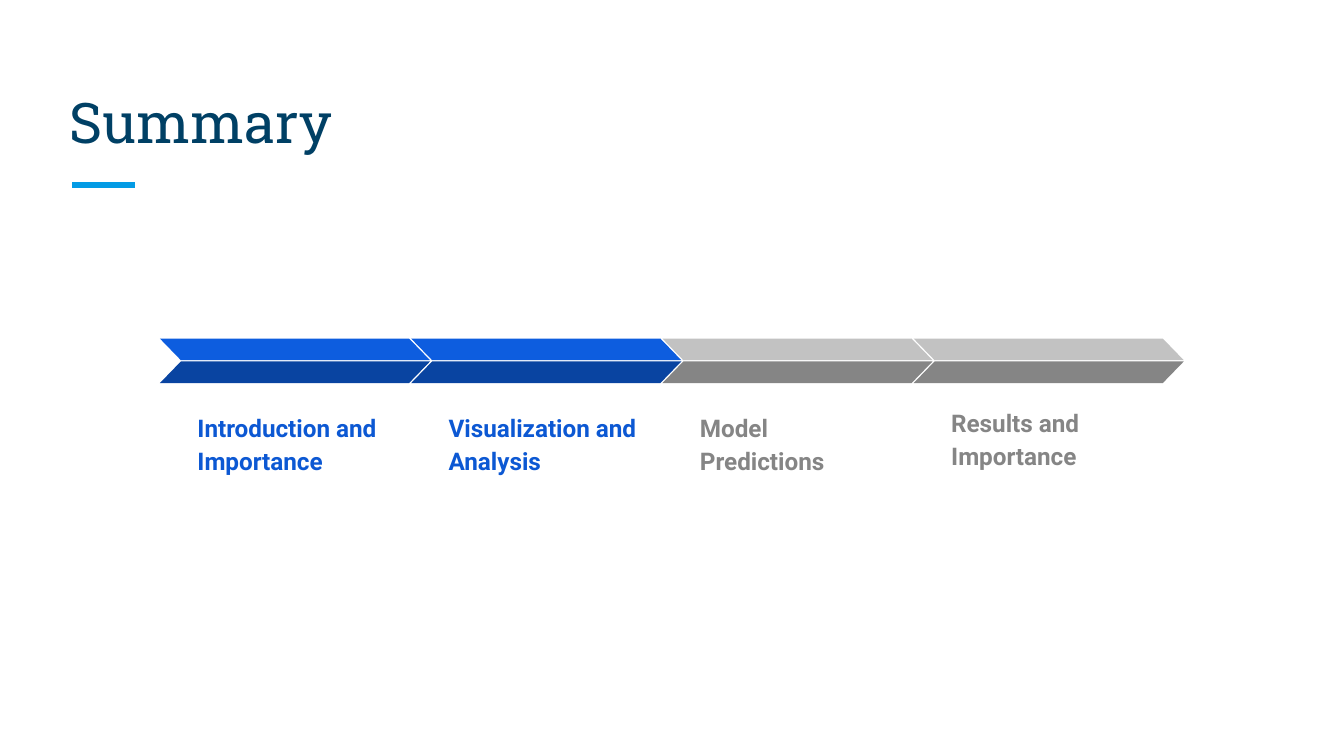
"""Builds a summary slide with a four-step chevron timeline."""
from pptx import Presentation
from pptx.dml.color import RGBColor
from pptx.enum.shapes import MSO_CONNECTOR, MSO_SHAPE
from pptx.enum.text import MSO_ANCHOR
from pptx.util import Pt
from lxml import etree

STRAIGHT = MSO_CONNECTOR.STRAIGHT
PARALLELOGRAM = MSO_SHAPE.PARALLELOGRAM
BOTTOM = MSO_ANCHOR.BOTTOM

NAVY = RGBColor(0x00, 0x40, 0x65)
SKY = RGBColor(0x03, 0x9B, 0xE5)
LABEL_BLUE = RGBColor(0x0C, 0x58, 0xD3)
BLUE = RGBColor(0x0D, 0x5D, 0xDF)
DARK_BLUE = RGBColor(0x09, 0x44, 0xA1)
LIGHT_GRAY = RGBColor(0xC2, 0xC2, 0xC2)
GRAY = RGBColor(0x85, 0x85, 0x85)

DONE = (BLUE, DARK_BLUE, LABEL_BLUE)
AHEAD = (LIGHT_GRAY, GRAY, GRAY)

HEADING = "Summary"
STEPS = [
    ("Introduction and Importance", DONE, 226.8),
    ("Visualization and Analysis", DONE, 226.8),
    ("Model Predictions", AHEAD, 226.8),
    ("Results and Importance", AHEAD, 223.9),
]

STEP_LEFT, STEP_PITCH, STEP_WIDTH = 85.7, 134.6, 144.7
UPPER_TOP, LOWER_TOP, HALF_HEIGHT = 181.4, 193.6, 11.6
SLANT = 0.97
LABEL_INDENT, LABEL_WIDTH, LABEL_HEIGHT = 13, 118.8, 35.3
INSET = 7.2


def add_text(slide, words, box, font, size, color, bold=False, spacing=None):
    frame = slide.shapes.add_textbox(*map(Pt, box)).text_frame
    frame.word_wrap = True
    frame.vertical_anchor = BOTTOM
    frame.margin_left = frame.margin_right = Pt(INSET)
    frame.margin_top = frame.margin_bottom = Pt(INSET)
    paragraph = frame.paragraphs[0]
    paragraph.line_spacing = spacing
    run = paragraph.add_run()
    run.text = words
    run.font.name = font
    run.font.size = Pt(size)
    run.font.bold = bold
    run.font.color.rgb = color


def add_half(slide, left, top, color, flipped):
    half = slide.shapes.add_shape(
        PARALLELOGRAM, Pt(left), Pt(top), Pt(STEP_WIDTH), Pt(HALF_HEIGHT))
    half.adjustments[0] = SLANT
    half.shadow.inherit = False
    half.fill.solid()
    half.fill.fore_color.rgb = color
    half.line.fill.background()
    if flipped:
        half._element.spPr.xfrm.set("flipH", "1")


def add_accent(slide):
    accent = slide.shapes.add_connector(STRAIGHT, Pt(38.6), Pt(99.2), Pt(72.3), Pt(99.2))
    accent.line.color.rgb = SKY
    accent.line.width = Pt(4.5)
    accent.line.width = Pt(3)
    properties = accent._element.spPr
    etree.SubElement(properties, properties.tag.split("}")[0].replace(
        "presentationml", "drawingml") + "}effectLst")


def main():
    deck = Presentation()
    deck.slide_width, deck.slide_height = Pt(720), Pt(405)
    slide = deck.slides.add_slide(deck.slide_layouts[6])
    add_accent(slide)
    add_text(slide, HEADING, (30.4, 36, 658.8, 54), "Roboto Slab", 30, NAVY)
    for index, (label, (upper, lower, ink), label_top) in enumerate(STEPS):
        left = STEP_LEFT + index * STEP_PITCH
        add_half(slide, left, UPPER_TOP, upper, True)
        add_half(slide, left, LOWER_TOP, lower, False)
        add_text(slide, label, (left + LABEL_INDENT, label_top, LABEL_WIDTH, LABEL_HEIGHT),
                 "Roboto", 13, ink, bold=True, spacing=1.15)
    deck.save("out.pptx")


if __name__ == "__main__":
    main()
